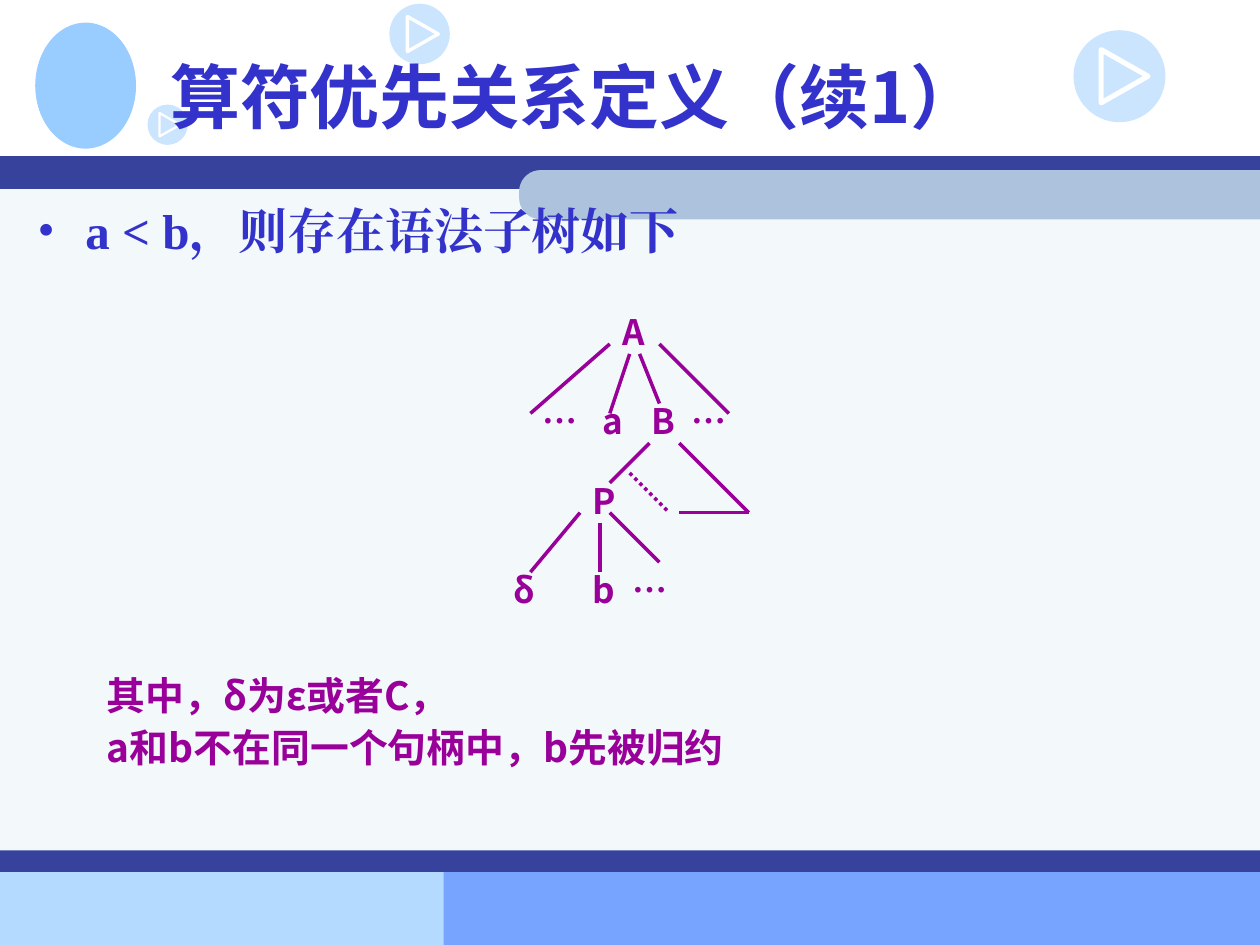
import math

from lxml import etree
from pptx import Presentation, util as u
from pptx.dml.color import RGBColor
from pptx.enum import dml, shapes, text
from pptx.oxml.ns import qn

WIDTH, HEIGHT = u.Inches(10), u.Inches(7.5)
CELL = u.Mm(2)
TREE_LEFT, TREE_TOP = u.Inches(4.21), u.Inches(2.73)
SANS, SERIF = "Noto Sans CJK SC", "Times New Roman"
BLUE, NAVY, SKY, PURPLE, WHITE = "3333CC", "36429B", "99CCFF", "990099", "FFFFFF"

BANDS = [
    (0, 6.92, 4.25, 0.58, "B5DAFF"),
    (3.52, 6.91, 6.48, 0.59, "77A4FF"),
    (0, 1.4, 10, 5.51, "F3F8FB"),
    (0, 1.24, 10, 0.26, NAVY),
    (0, 6.75, 10, 0.17, NAVY),
]
PLAY_BADGES = [(3.09, 0.03, 0.48), (8.52, 0.24, 0.73), (1.17, 0.83, 0.32)]
TREE_LABELS = [
    ("A", 8, -4),
    ("…", 0, 5), ("a", 6, 5), ("B", 11, 5), ("…", 15, 5),
    ("P", 5, 13),
    ("δ", -3, 22), ("b", 5, 22), ("…", 9, 22),
]
TREE_BRANCHES = [
    (8, 0, 0, 7), (10, 1, 8, 7), (11, 1, 13, 6), (13, 0, 20, 7),
    (12, 10, 8, 14), (15, 10, 22, 17), (15, 17, 22, 17),
    (8, 17, 13, 22), (7, 18, 7, 23), (5, 17, 0, 23),
]
DOTTED_BRANCH = (10, 13, 14, 17)


def color(value):
    """Turn a hex string into a colour."""
    return RGBColor.from_string(value)


def fill_plain(shape, fill):
    """Give a shape a solid fill without line or shadow."""
    shape.shadow.inherit = False
    shape.fill.solid()
    shape.fill.fore_color.rgb = color(fill)
    shape.line.fill.background()


def add_block(slide, kind, box, fill):
    """Add a plain filled shape, with its box in inches."""
    shape = slide.shapes.add_shape(kind, *map(u.Inches, box))
    fill_plain(shape, fill)
    return shape


def add_outline(slide, points):
    """Add a closed freeform through points in inches."""
    corners = [(u.Inches(x), u.Inches(y)) for x, y in points]
    builder = slide.shapes.build_freeform(*corners[0])
    builder.add_line_segments(corners[1:], close=True)
    return builder.convert_to_shape()


def add_play_badge(slide, left, top, size):
    """Add a translucent disc with a white triangle outline."""
    disc = add_block(slide, shapes.MSO_SHAPE.OVAL, (left, top, size, size), SKY)
    fill = disc.element.spPr.find(qn("a:solidFill"))
    etree.SubElement(fill[0], qn("a:alpha"), val="50000")
    triangle = add_outline(slide, [(left + x * size, top + y * size)
                                   for x, y in ((0.3, 0.21), (0.81, 0.5), (0.3, 0.79))])
    triangle.shadow.inherit = False
    triangle.fill.background()
    triangle.line.color.rgb = color(WHITE)
    triangle.line.width = u.Pt(4 * size)


def add_tab(slide, left, top, right, bottom, radius):
    """Add the header tab, rounded at its left end."""
    points = [(right, top)]
    for center_y, start in ((top + radius, 270), (bottom - radius, 180)):
        for angle in range(start, start - 91, -10):
            turn = math.radians(angle)
            points.append((left + radius + radius * math.cos(turn),
                           center_y + radius * math.sin(turn)))
    fill_plain(add_outline(slide, points + [(right, bottom)]), "ADC3DD")


def add_decor(slide):
    """Add the bands, the rounded tab and the header ornaments."""
    for *box, fill in BANDS:
        add_block(slide, shapes.MSO_SHAPE.RECTANGLE, box, fill)
    add_tab(slide, 4.12, 1.35, 10, 1.74, 0.17)
    add_block(slide, shapes.MSO_SHAPE.OVAL, (0.28, 0.18, 0.8, 1), SKY)
    for badge in PLAY_BADGES:
        add_play_badge(slide, *badge)


def add_run(paragraph, words, size, fill, font=SANS):
    """Add one bold run with Latin and East Asian fonts."""
    run = paragraph.add_run()
    run.text = words
    run.font.size = u.Pt(size)
    run.font.bold = True
    run.font.name = font
    run.font.color.rgb = color(fill)
    etree.SubElement(run._r.get_or_add_rPr(), qn("a:ea"), typeface=font)


def add_textbox(slide, left, top, width, height):
    """Add a wrapping text box and return its text frame."""
    frame = slide.shapes.add_textbox(left, top, width, height).text_frame
    frame.word_wrap = True
    return frame


def format_title(slide, words):
    """Place the title in front of the ornaments and fill it."""
    title = slide.shapes.title
    title.element.getparent().append(title.element)
    title.left, title.top = u.Inches(1.25), u.Inches(0.17)
    title.width, title.height = u.Inches(8.5), u.Inches(1.17)
    frame = title.text_frame
    frame.vertical_anchor = text.MSO_ANCHOR.MIDDLE
    frame.auto_size = text.MSO_AUTO_SIZE.NONE
    paragraph = frame.paragraphs[0]
    paragraph.alignment = text.PP_ALIGN.LEFT
    add_run(paragraph, words, 40, BLUE)


def add_bullet(slide, words):
    """Add the bulleted statement below the header."""
    frame = add_textbox(slide, u.Inches(0.2), u.Inches(1.54), u.Inches(9.61), u.Inches(4.96))
    paragraph = frame.paragraphs[0]
    paragraph.space_before = u.Pt(7)
    add_run(paragraph, words, 28, BLUE, SERIF)
    properties = paragraph._p.get_or_add_pPr()
    indent = u.Inches(0.38)
    properties.set("marL", str(indent))
    properties.set("indent", str(-indent))
    bullet_color = etree.SubElement(properties, qn("a:buClr"))
    etree.SubElement(bullet_color, qn("a:srgbClr"), val=BLUE)
    etree.SubElement(properties, qn("a:buFont"), typeface=SERIF)
    etree.SubElement(properties, qn("a:buChar"), char="•")


def add_label(slide, words, column, row):
    """Add a tree symbol at a grid position."""
    frame = add_textbox(slide, TREE_LEFT + column * CELL, TREE_TOP + row * CELL,
                        5 * CELL, u.Inches(0.44))
    add_run(frame.paragraphs[0], words, 20, PURPLE)


def add_branch(slide, start_column, start_row, end_column, end_row):
    """Add a tree line between two grid positions."""
    branch = slide.shapes.add_connector(
        shapes.MSO_CONNECTOR.STRAIGHT,
        TREE_LEFT + start_column * CELL, TREE_TOP + start_row * CELL,
        TREE_LEFT + end_column * CELL, TREE_TOP + end_row * CELL)
    branch.line.color.rgb = color(PURPLE)
    branch.line.width = u.Pt(2)
    etree.SubElement(branch.element.spPr, qn("a:effectLst"))
    return branch


def add_explanation(slide, lines):
    """Add the explanation below the tree, one paragraph a line."""
    frame = add_textbox(slide, u.Inches(0.75), u.Inches(5.32), u.Inches(8.67), u.Inches(0.95))
    for index, words in enumerate(lines):
        paragraph = frame.add_paragraph() if index else frame.paragraphs[0]
        paragraph.line_spacing = 0.9
        paragraph.space_before = u.Pt(6)
        add_run(paragraph, words, 22.2, PURPLE)


def main():
    """Build and save the slide."""
    presentation = Presentation()
    presentation.slide_width, presentation.slide_height = WIDTH, HEIGHT
    slide = presentation.slides.add_slide(presentation.slide_layouts[5])
    add_decor(slide)
    format_title(slide, "算符优先关系定义（续1）")
    add_bullet(slide, "a < b，则存在语法子树如下")
    for label in TREE_LABELS:
        add_label(slide, *label)
    for branch in TREE_BRANCHES:
        add_branch(slide, *branch)
    add_branch(slide, *DOTTED_BRANCH).line.dash_style = dml.MSO_LINE.ROUND_DOT
    add_explanation(slide, ["其中，δ为ε或者C，", "a和b不在同一个句柄中，b先被归约"])
    presentation.save("out.pptx")


if __name__ == "__main__":
    main()
